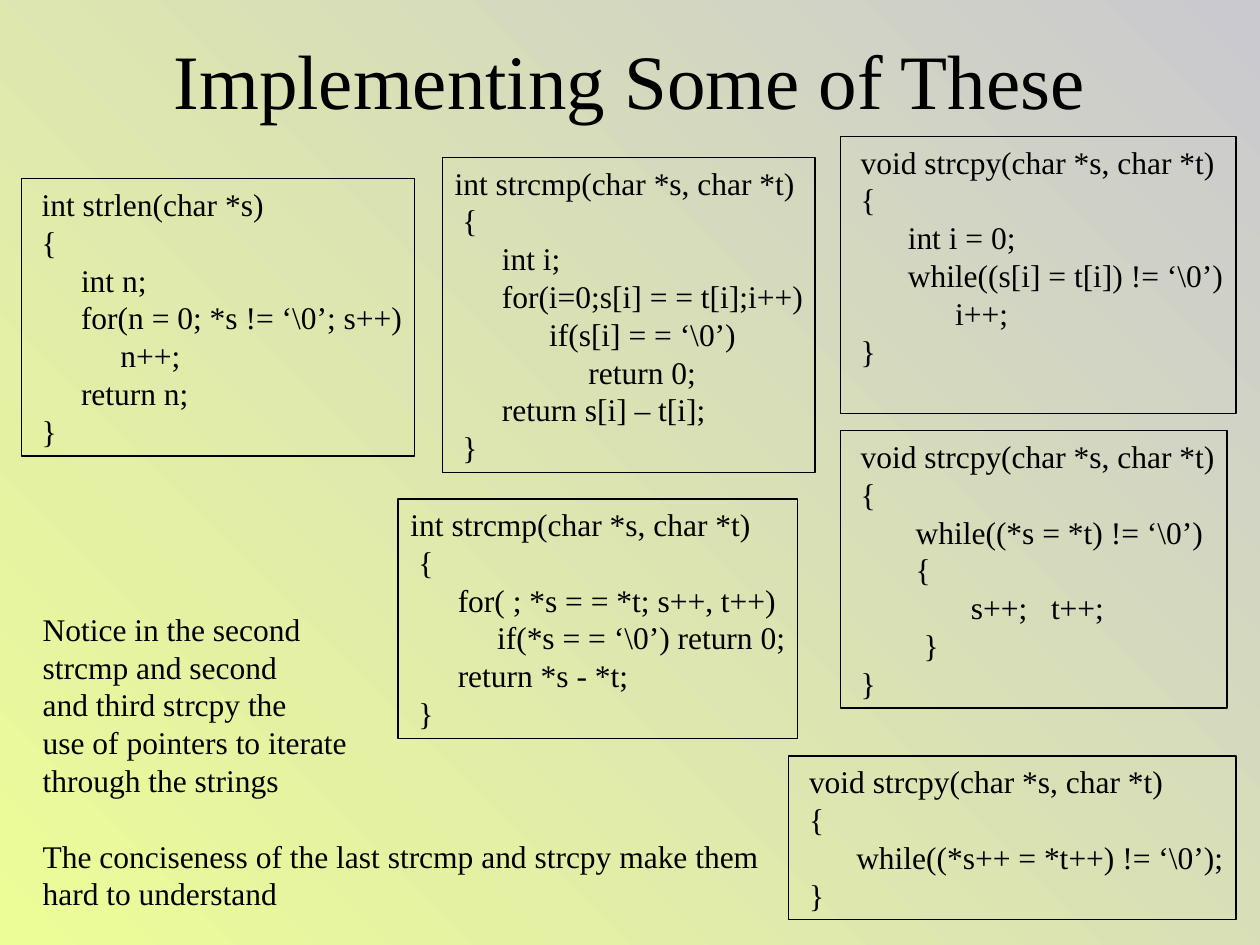
from pptx import Presentation
from pptx.util import Pt
from pptx.dml.color import RGBColor
from pptx.enum.shapes import MSO_SHAPE as Shape
from pptx.enum.text import MSO_ANCHOR as Anchor, PP_ALIGN as Align

FONT = "Times New Roman"
BLACK = "000000"
LINE = 21.6     # line pitch of the 18 pt text
SPACE = 4.5     # width of one indent step
WIDE = "\t"     # marks a wide gap inside a code line

# Each listing: left, top, width, rows, then (indent steps, code) lines
LISTINGS = [
    (12.2, 102.2, 224.6, 7, [
        (1, "int strlen(char *s)"), (1, "{"), (6, "int n;"),
        (6, "for(n = 0; *s != ‘\\0’; s++)"), (11, "n++;"),
        (6, "return n;"), (1, "}")]),
    (480.2, 246.2, 221, 7, [
        (1, "void strcpy(char *s, char *t)"), (1, "{"),
        (8, "while((*s = *t) != ‘\\0’)"), (8, "{"),
        (15, "s++;" + WIDE + "t++;"), (9, "}"), (1, "}")]),
    (450.7, 432, 255.6, 4, [
        (1, "void strcpy(char *s, char *t)"), (1, "{"),
        (7, "while((*s++ = *t++) != ‘\\0’);"), (1, "}")]),
    (480.2, 78, 226.1, 7, [
        (1, "void strcpy(char *s, char *t)"), (1, "{"), (7, "int i = 0;"),
        (7, "while((s[i] = t[i]) != ‘\\0’)"), (13, "i++;"), (1, "}")]),
    (252.7, 90, 213.1, 8, [
        (0, "int strcmp(char *s, char *t)"), (1, "{"), (6, "int i;"),
        (6, "for(i=0;s[i] = = t[i];i++)"), (12, "if(s[i] = = ‘\\0’)"),
        (17, "return 0;"), (6, "return s[i] – t[i];"), (1, "}")]),
    (227.5, 285.1, 228.2, 6, [
        (0, "int strcmp(char *s, char *t)"), (1, "{"),
        (6, "for( ; *s = = *t; s++, t++)"),
        (11, "if(*s = = ‘\\0’) return 0;"),
        (6, "return *s - *t;"), (1, "}")]),
]

NOTES = [
    ["Notice in the second", "strcmp and second", "and third strcpy the",
     "use of pointers to iterate", "through the strings"],
    ["The conciseness of the last strcmp and strcpy make them",
     "hard to understand"],
]


def color(value):
    return RGBColor.from_string(value)


def add_span(para, text, size):
    span = para.add_run()
    span.text = text
    span.font.name = FONT
    span.font.size = Pt(size)
    span.font.color.rgb = color(BLACK)
    return span


def add_line(frame, text, first=False, size=18, indent=0, before=0,
             pitch=None, align=Align.LEFT):
    para = frame.paragraphs[0] if first else frame.add_paragraph()
    para.alignment = align
    para.space_before = Pt(before)
    if pitch:
        para.line_spacing = Pt(pitch)
    if indent:
        properties = para._p.get_or_add_pPr()
        properties.set("marL", str(Pt(indent)))
        properties.set("indent", "0")
    for number, part in enumerate(text.split(WIDE)):
        if number:
            # A single space, widened by letter spacing
            gap = add_span(para, " ", size)
            gap.font._element.set("spc", str(int(SPACE * 2 * 100)))
        add_span(para, part, size)


def set_frame(box, anchor=Anchor.TOP):
    frame = box.text_frame
    frame.word_wrap = True
    frame.vertical_anchor = anchor
    frame.margin_left, frame.margin_right = Pt(7.2), Pt(0)
    frame.margin_top = frame.margin_bottom = Pt(3.6)
    return frame


def paint_background(page):
    fill = page.background.fill
    fill.gradient()
    fill.gradient_angle = 45
    for stop, (position, value) in zip(fill.gradient_stops,
                                       [(0, "ECFD97"), (1, "CAC9CF")]):
        stop.position = position
        stop.color.rgb = color(value)


def add_title(page, left, top, width, height):
    box = page.shapes.add_textbox(Pt(left), Pt(top), Pt(width), Pt(height))
    frame = set_frame(box, Anchor.MIDDLE)
    frame.margin_right = Pt(7.2)
    add_line(frame, "Implementing Some of These", first=True, size=44,
             align=Align.CENTER)


def add_listing(page, left, top, width, rows, lines):
    height = rows * LINE + 7.2
    box = page.shapes.add_shape(Shape.RECTANGLE, Pt(left), Pt(top),
                                Pt(width), Pt(height))
    box.shadow.inherit = False
    box.fill.background()
    box.line.color.rgb = color(BLACK)
    box.line.width = Pt(0.75)
    frame = set_frame(box)
    for number, (steps, code) in enumerate(lines):
        add_line(frame, code, first=number == 0, indent=steps * SPACE,
                 pitch=LINE)


def add_notes(page, left, top, width, height):
    box = page.shapes.add_textbox(Pt(left), Pt(top), Pt(width), Pt(height))
    frame = set_frame(box)
    for block, lines in enumerate(NOTES):
        for number, text in enumerate(lines):
            starts_later_block = block > 0 and number == 0
            add_line(frame, text, first=block == number == 0, pitch=LINE,
                     before=LINE if starts_later_block else 0)


def main():
    deck = Presentation()
    deck.slide_width, deck.slide_height = Pt(720), Pt(540)
    page = deck.slides.add_slide(deck.slide_layouts[6])
    paint_background(page)
    add_title(page, 54, 0, 612, 90)
    for listing in LISTINGS:
        add_listing(page, *listing)
    add_notes(page, 17.3, 344.9, 423.4, 180)
    deck.save("out.pptx")


if __name__ == "__main__":
    main()
